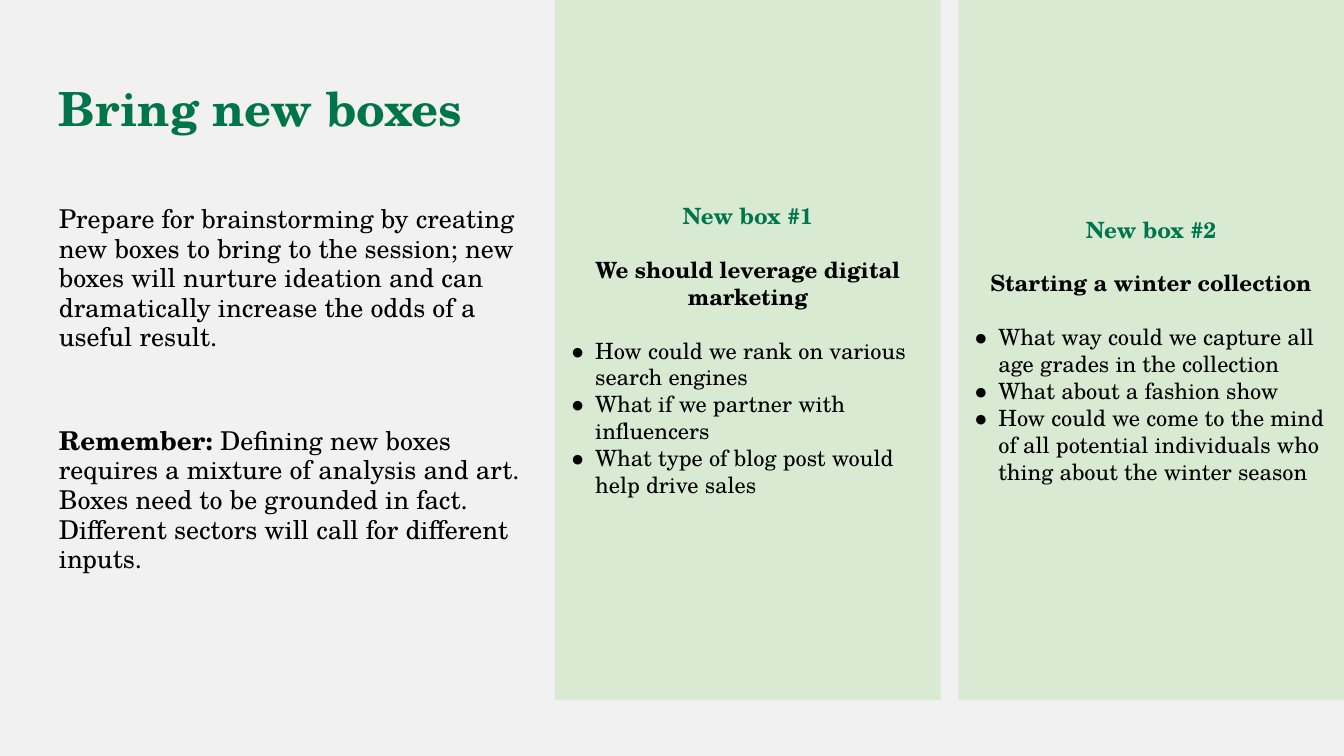
from dataclasses import dataclass

from lxml import etree
from pptx import Presentation
from pptx.dml.color import RGBColor
from pptx.enum import shapes, text
from pptx.oxml import ns
from pptx.util import Pt


@dataclass(frozen=True)
class Theme:
    font: str = "TeX Gyre Schola"
    background: RGBColor = RGBColor(0xF1, 0xF1, 0xF1)
    panel: RGBColor = RGBColor(0xD9, 0xEA, 0xD3)
    accent: RGBColor = RGBColor(0x00, 0x75, 0x4B)
    ink: RGBColor = RGBColor(0, 0, 0)
    title_size: float = 25.2
    body_size: float = 13.9
    panel_size: float = 12


THEME = Theme()
MARGIN = 24.5
PANEL_LEFT = 297.4
PANEL_STEP = 216
PANEL_WIDTH = 206.6
PANEL_HEIGHT = 375.1
PANEL_GAP = 14.4
BODY_GAP = 39.6

TITLE = "Bring new boxes"
INTRODUCTION = (
    "Prepare for brainstorming by creating new boxes to bring to the session; "
    "new boxes will nurture ideation and can dramatically increase the odds of "
    "a useful result."
)
REMINDER = (
    " Defining new boxes requires a mixture of analysis and art. Boxes need to "
    "be grounded in fact. Different sectors will call for different inputs."
)
BOXES = [
    ("New box #1", "We should leverage digital marketing", [
        "How could we rank on various search engines",
        "What if we partner with influencers",
        "What type of blog post would help drive sales",
    ]),
    ("New box #2", "Starting a winter collection", [
        "What way could we capture all age grades in the collection",
        "What about a fashion show",
        "How could we come to the mind of all potential individuals who "
        "thing about the winter season",
    ]),
]


def prepare_frame(shape, anchor):
    frame = shape.text_frame
    frame.word_wrap = True
    frame.vertical_anchor = anchor
    frame.margin_left = frame.margin_right = Pt(7.2)
    frame.margin_top = frame.margin_bottom = Pt(7.2)
    return frame


def add_text_box(slide, left, top, width, height, anchor):
    shape = slide.shapes.add_textbox(Pt(left), Pt(top), Pt(width), Pt(height))
    return prepare_frame(shape, anchor)


def add_paragraph(frame, first=False, align=text.PP_ALIGN.LEFT, before=0, spacing=1.0):
    paragraph = frame.paragraphs[0] if first else frame.add_paragraph()
    paragraph.alignment = align
    paragraph.space_before = Pt(before)
    paragraph.line_spacing = spacing
    return paragraph


def add_run(paragraph, words, size, color=THEME.ink, bold=False):
    run = paragraph.add_run()
    run.text = words
    run.font.name = THEME.font
    run.font.size = Pt(size)
    run.font.bold = bold
    run.font.color.rgb = color


def add_bullet(paragraph):
    properties = paragraph._p.get_or_add_pPr()
    properties.set("marL", str(Pt(14.4)))
    properties.set("indent", str(Pt(-13.7)))
    color = etree.SubElement(properties, ns.qn("a:buClr"))
    etree.SubElement(color, ns.qn("a:srgbClr"), val=str(THEME.ink))
    etree.SubElement(properties, ns.qn("a:buFont"), typeface=THEME.font)
    etree.SubElement(properties, ns.qn("a:buChar"), char="●")


def add_title(slide):
    frame = add_text_box(slide, MARGIN, 35.3, 671, 45.4, text.MSO_ANCHOR.TOP)
    paragraph = add_paragraph(frame, first=True)
    add_run(paragraph, TITLE, THEME.title_size, THEME.accent, bold=True)


def add_body(slide):
    frame = add_text_box(slide, MARGIN, 90.7, 263.5, 236.2, text.MSO_ANCHOR.MIDDLE)
    introduction = add_paragraph(frame, first=True, spacing=0.95)
    add_run(introduction, INTRODUCTION, THEME.body_size)
    reminder = add_paragraph(frame, before=BODY_GAP, spacing=0.95)
    add_run(reminder, "Remember:", THEME.body_size, bold=True)
    add_run(reminder, REMINDER, THEME.body_size)


def add_panel(slide, left, heading, idea, questions):
    shape = slide.shapes.add_shape(
        shapes.MSO_SHAPE.RECTANGLE, Pt(left), Pt(0), Pt(PANEL_WIDTH), Pt(PANEL_HEIGHT)
    )
    shape.shadow.inherit = False
    shape.fill.solid()
    shape.fill.fore_color.rgb = THEME.panel
    shape.line.fill.background()
    frame = prepare_frame(shape, text.MSO_ANCHOR.MIDDLE)
    center = text.PP_ALIGN.CENTER
    paragraph = add_paragraph(frame, first=True, align=center)
    add_run(paragraph, heading, THEME.panel_size, THEME.accent, bold=True)
    paragraph = add_paragraph(frame, align=center, before=PANEL_GAP)
    add_run(paragraph, idea, THEME.panel_size, bold=True)
    for index, question in enumerate(questions):
        paragraph = add_paragraph(frame, before=0 if index else PANEL_GAP)
        add_bullet(paragraph)
        add_run(paragraph, question, THEME.panel_size)


def main():
    presentation = Presentation()
    presentation.slide_width = Pt(720)
    presentation.slide_height = Pt(405)
    slide = presentation.slides.add_slide(presentation.slide_layouts[6])
    slide.background.fill.solid()
    slide.background.fill.fore_color.rgb = THEME.background
    add_title(slide)
    add_body(slide)
    for index, box in enumerate(BOXES):
        add_panel(slide, PANEL_LEFT + index * PANEL_STEP, *box)
    presentation.save("out.pptx")


if __name__ == "__main__":
    main()
